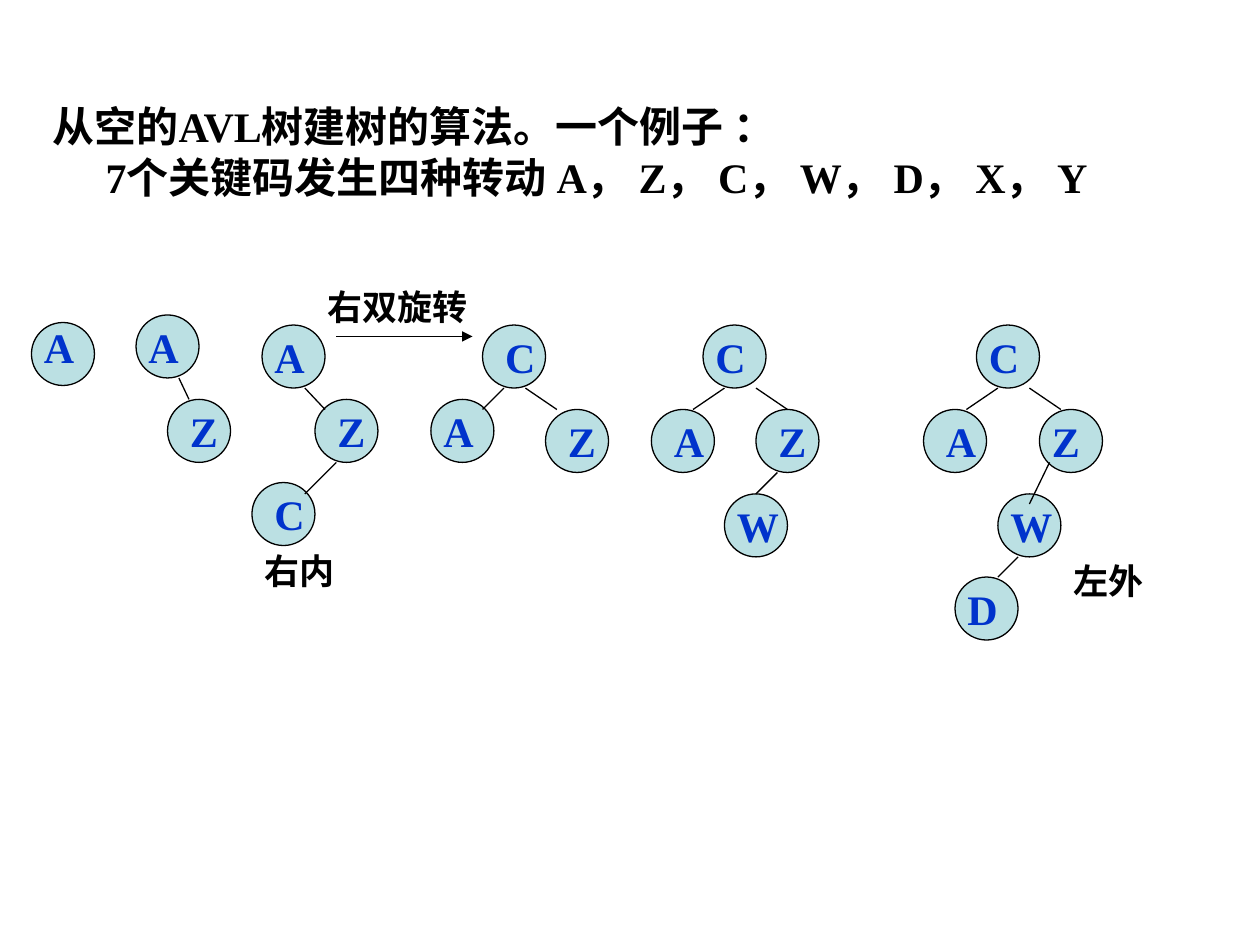
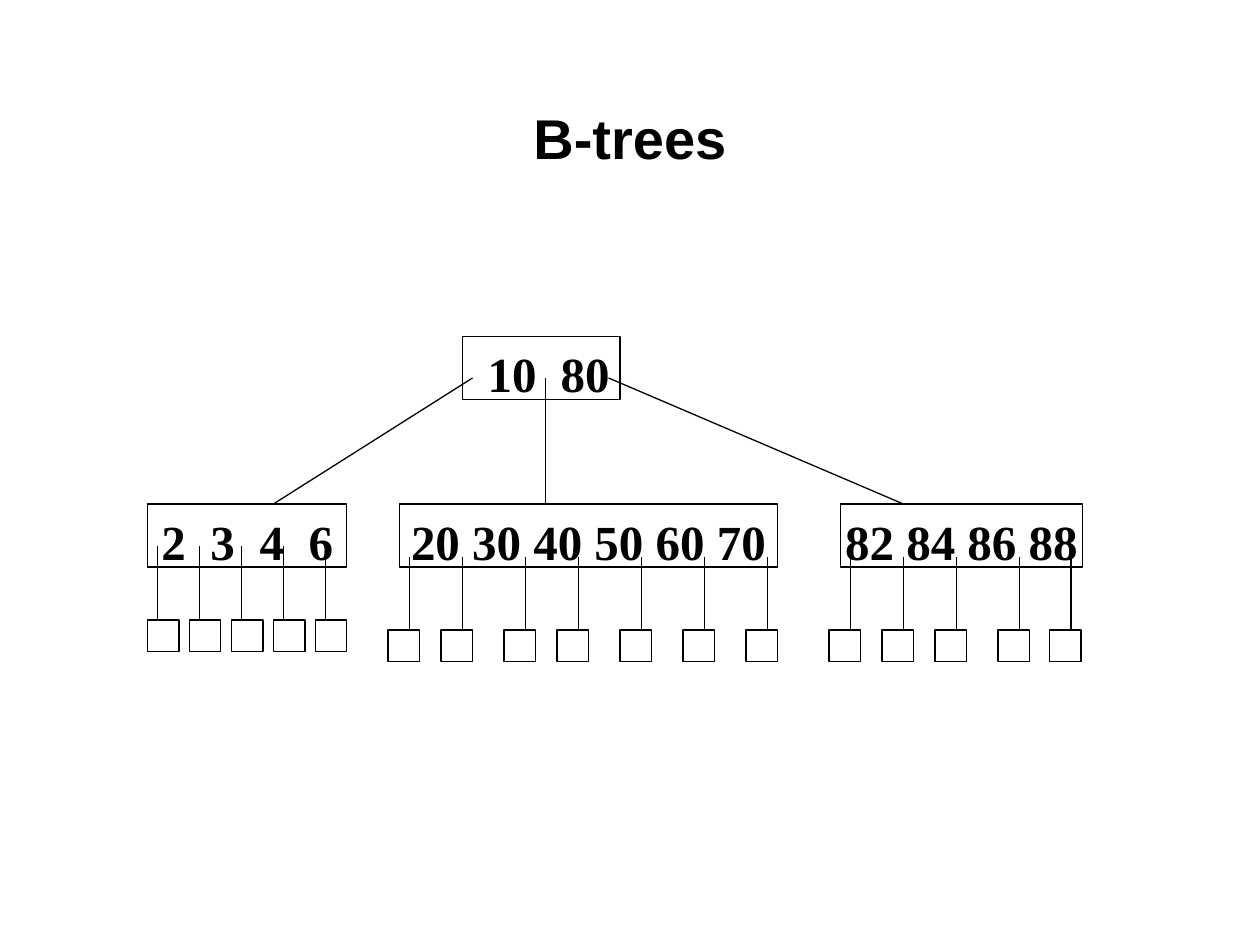
from lxml import etree
from pptx import Presentation
from pptx.dml.color import RGBColor
from pptx.enum.shapes import MSO_CONNECTOR as Connector, MSO_SHAPE as Preset
from pptx.enum.text import MSO_ANCHOR as Anchor, MSO_AUTO_SIZE as AutoSize, PP_ALIGN as Align
from pptx.oxml.ns import qn
from pptx.util import Inches, Pt

COLORS = {"ink": "000000", "node": "BBE0E3", "letter": "0033CC"}
SERIF = "Times New Roman"
SANS = "Arial"
NODE_SIZE = 0.5
LEAF_SIZE = 0.25
BLANK_LAYOUT = 6
TITLE_LAYOUT = 5

NODES = [
    ("A", 0.25, 2.56, 0, -0.06),
    ("A", 1.08, 2.5, 0, 0),
    ("Z", 1.33, 3.17, 0.08, 0),
    ("A", 2.08, 2.58, 0, 0),
    ("Z", 2.5, 3.17, 0.08, 0),
    ("C", 2, 3.83, 0.08, 0),
    ("C", 3.83, 2.58, 0.08, 0),
    ("A", 3.42, 3.17, 0, 0),
    ("Z", 4.33, 3.25, 0.08, 0),
    ("C", 5.58, 2.58, 0, 0),
    ("A", 5.17, 3.25, 0.08, 0),
    ("Z", 6, 3.25, 0.08, 0),
    ("W", 5.75, 3.92, 0, 0),
    ("C", 7.75, 2.58, 0, 0),
    ("A", 7.33, 3.25, 0.08, 0),
    ("Z", 8.25, 3.25, 0, 0),
    ("W", 7.92, 3.92, 0, 0),
    ("D", 7.58, 4.58, 0, 0),
]
LETTER_WIDTHS = {"A": 0.44, "C": 0.45, "D": 0.44, "W": 0.54, "Z": 0.43}
EDGES = [
    (1.42, 3, 1.5, 3.17),
    (2.42, 3.08, 2.58, 3.25),
    (2.67, 3.67, 2.42, 3.92),
    (4, 3.08, 3.83, 3.25),
    (4.17, 3.08, 4.42, 3.25),
    (5.75, 3.08, 5.5, 3.25),
    (6, 3.08, 6.25, 3.25),
    (6.17, 3.75, 6, 3.92),
    (7.92, 3.08, 7.67, 3.25),
    (8.17, 3.08, 8.42, 3.25),
    (8.33, 3.67, 8.17, 4),
    (8.08, 4.42, 7.92, 4.58),
]
ROTATION_LABELS = [
    ("右双旋转", 2.5, 2.22, 1.33),
    ("右内", 2, 4.31, 0.77),
    ("左外", 8.42, 4.39, 0.77),
]
BRANCHES = [(3.75, 3, 2.17, 4), (4.33, 3, 4.33, 4), (4.83, 3, 7.17, 4)]
LEAF_ROWS = [
    ([1.17 + i / 3 for i in range(5)], 4.33, 4.92, 0.08),
    ([3.08, 3.5, 4, 4.42, 4.92, 5.42, 5.92], 4.42, 5, 0.17),
    ([6.58, 7, 7.42, 7.92, 8.33], 4.42, 5, 0.17),
]


class Deck:
    def __init__(self):
        self.presentation = Presentation()
        self.presentation.slide_width = Inches(10)
        self.presentation.slide_height = Inches(7.5)
        self.slide = None

    def add_slide(self, layout):
        self.slide = self.presentation.slides.add_slide(self.presentation.slide_layouts[layout])

    def color(self, name):
        return RGBColor.from_string(COLORS[name])

    def format(self, paragraph, size, color="ink", font=SERIF):
        for run in paragraph.runs:
            run.font.name = font
            run.font.size = Pt(size)
            run.font.bold = True
            run.font.color.rgb = self.color(color)

    def title(self, text, left, top, width, height):
        shape = self.slide.shapes.title
        shape.left, shape.top = Inches(left), Inches(top)
        shape.width, shape.height = Inches(width), Inches(height)
        frame = shape.text_frame
        frame.text = text
        frame.auto_size = AutoSize.NONE
        frame.vertical_anchor = Anchor.MIDDLE
        frame.paragraphs[0].alignment = Align.CENTER
        self.format(frame.paragraphs[0], 32, font=SANS)

    def text(self, text, left, top, width, height, size, color="ink", wrap=False):
        box = self.slide.shapes.add_textbox(Inches(left), Inches(top), Inches(width), Inches(height))
        frame = box.text_frame
        frame.word_wrap = wrap
        frame.text = text
        for paragraph in frame.paragraphs:
            self.format(paragraph, size, color)
        return frame

    def tabs(self, paragraph, positions):
        tab_list = etree.SubElement(paragraph._p.get_or_add_pPr(), qn("a:tabLst"))
        for position in positions:
            etree.SubElement(tab_list, qn("a:tab"), pos=str(Inches(position)), algn="l")

    def shape(self, preset, left, top, width, height, fill=None):
        shape = self.slide.shapes.add_shape(
            preset, Inches(left), Inches(top), Inches(width), Inches(height))
        shape.shadow.inherit = False
        if fill:
            shape.fill.solid()
            shape.fill.fore_color.rgb = self.color(fill)
        else:
            shape.fill.background()
        shape.line.color.rgb = self.color("ink")
        shape.line.width = Pt(0.75)
        return shape

    def line(self, x1, y1, x2, y2, arrow=False):
        connector = self.slide.shapes.add_connector(
            Connector.STRAIGHT, Inches(x1), Inches(y1), Inches(x2), Inches(y2))
        connector.line.color.rgb = self.color("ink")
        connector.line.width = Pt(0.75)
        if arrow:
            etree.SubElement(connector.line._get_or_add_ln(), qn("a:tailEnd"), type="triangle")
        etree.SubElement(connector._element.spPr, qn("a:effectLst"))

    def tree_node(self, letter, left, top, shift_x, shift_y):
        self.shape(Preset.FLOWCHART_CONNECTOR, left, top, NODE_SIZE, NODE_SIZE, "node")
        self.text(letter, left + shift_x, top + shift_y, LETTER_WIDTHS[letter], 0.5, 24, "letter")

    def key_box(self, text, left, top, width, inset=0, stops=()):
        frame = self.shape(Preset.RECTANGLE, left, top, width, 0.5).text_frame
        frame.text = text
        frame.word_wrap = bool(stops)
        frame.vertical_anchor = Anchor.MIDDLE
        frame.margin_left = Inches(inset)
        frame.margin_right = frame.margin_bottom = 0
        frame.margin_top = Inches(0.08)
        paragraph = frame.paragraphs[0]
        paragraph.alignment = Align.LEFT if stops else Align.CENTER
        if stops:
            self.tabs(paragraph, stops)
        self.format(paragraph, 28)

    def leaf_row(self, lefts, line_top, top, line_shift):
        for left in lefts:
            self.line(left + line_shift, line_top, left + line_shift, top)
            self.shape(Preset.RECTANGLE, left, top, LEAF_SIZE, LEAF_SIZE)


def build_avl_slide(deck):
    deck.add_slide(BLANK_LAYOUT)
    heading = deck.text(
        "从空的AVL树建树的算法。一个例子 ：\n7个关键码发生四种转动\tA， Z， C， W， D， X， Y",
        0.32, 0.75, 8.87, 0.91, 24, wrap=True)
    keys = heading.paragraphs[1]
    keys._p.get_or_add_pPr().set("indent", str(Inches(0.42)))
    deck.tabs(keys, [4.46])
    for node in NODES:
        deck.tree_node(*node)
    for edge in EDGES:
        deck.line(*edge)
    for label, left, top, width in ROTATION_LABELS:
        deck.text(label, left, top, width, 0.44, 20)
    deck.line(2.67, 2.67, 3.75, 2.67, arrow=True)


def build_b_tree_slide(deck):
    deck.add_slide(TITLE_LAYOUT)
    deck.title("B-trees", 0.75, 0.67, 8.5, 0.83)
    deck.key_box("10\t80", 3.67, 2.67, 1.25, 0.2, [0.58])
    deck.key_box("2\t3\t4\t6", 1.17, 4, 1.58, 0.11, [0.39 * i for i in range(1, 4)])
    deck.key_box("20 30 40 50 60 70", 3.17, 4, 3)
    deck.key_box("82 84 86 88", 6.67, 4, 1.92)
    for branch in BRANCHES:
        deck.line(*branch)
    for row in LEAF_ROWS:
        deck.leaf_row(*row)


def main():
    deck = Deck()
    build_avl_slide(deck)
    build_b_tree_slide(deck)
    deck.presentation.save("out.pptx")


if __name__ == "__main__":
    main()
